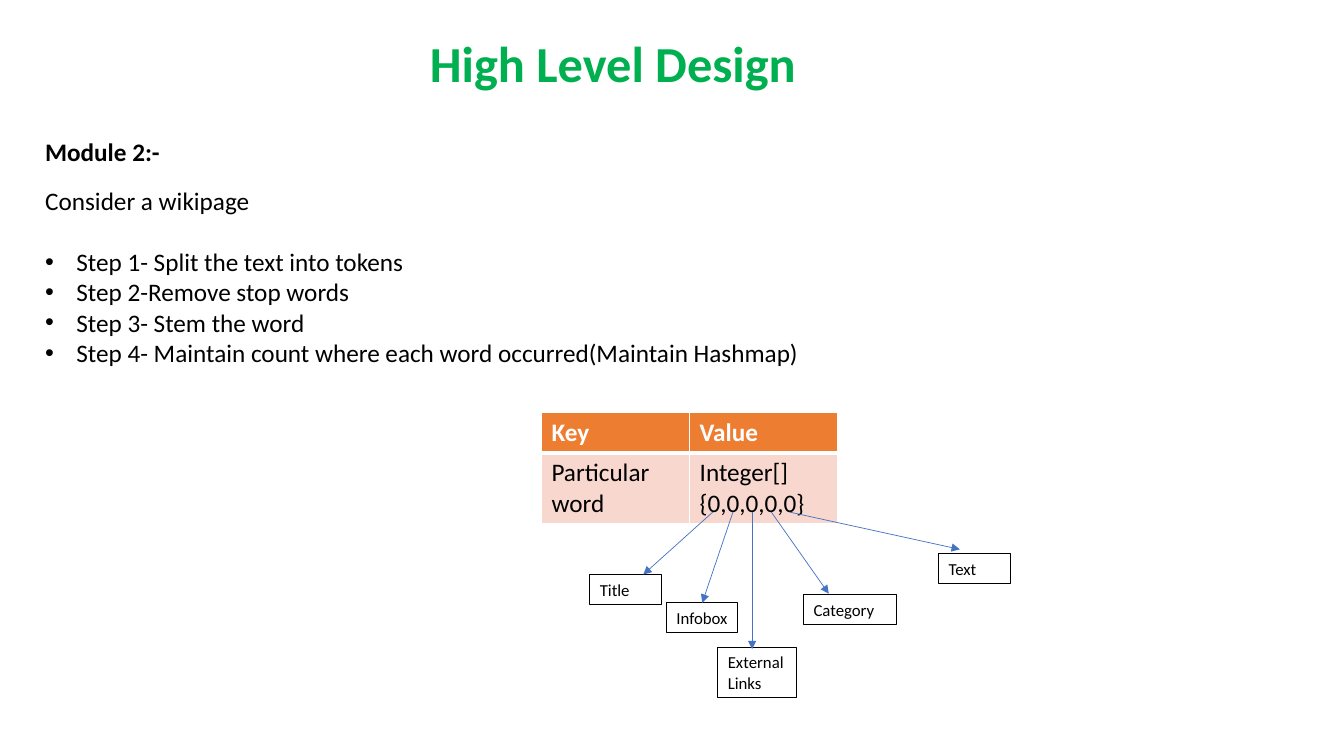
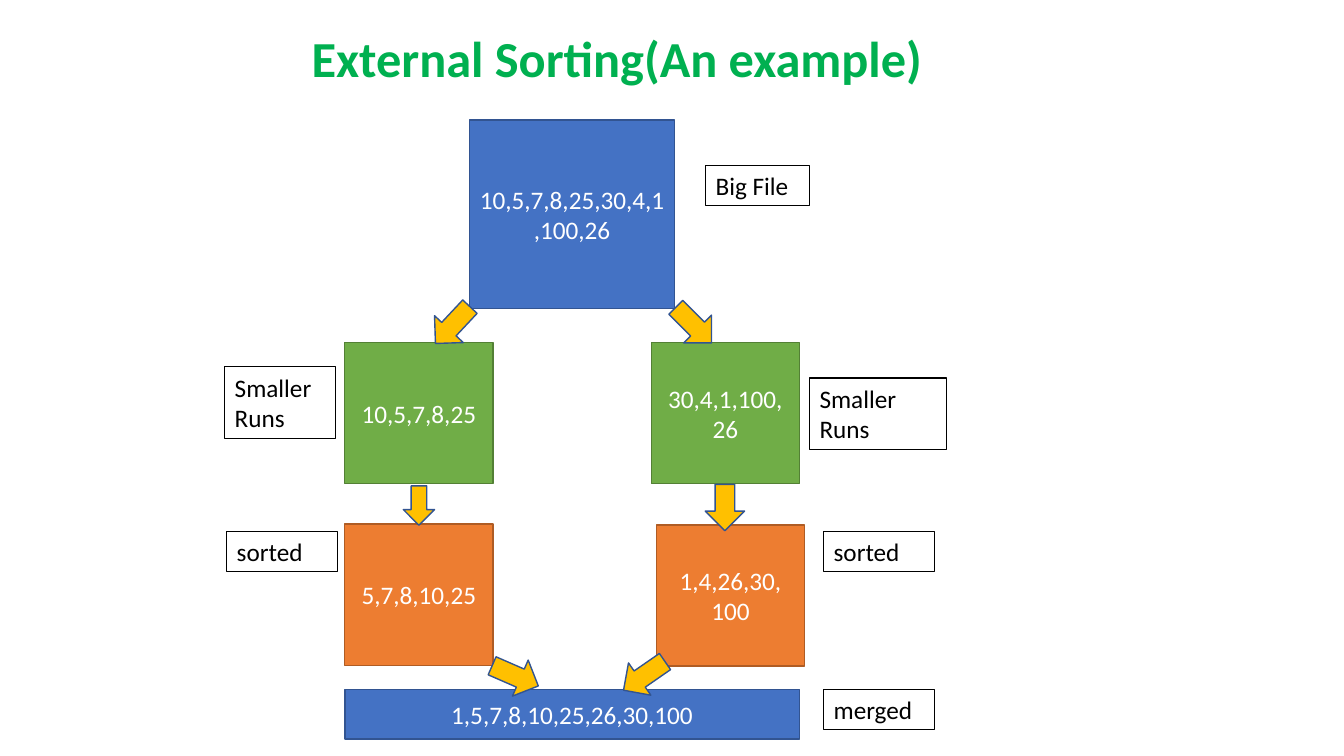
from lxml.etree import SubElement
from pptx import Presentation
from pptx.dml.color import RGBColor
from pptx.enum.shapes import MSO_CONNECTOR, MSO_SHAPE
from pptx.enum.text import MSO_ANCHOR, PP_ALIGN
from pptx.oxml.ns import qn
from pptx.util import Inches, Pt

FONT = "Calibri"
BLACK, WHITE, GREEN_TITLE = "000000", "FFFFFF", "00B050"
BLUE, GREEN, ORANGE, GOLD, PALE = "4472C4", "70AD47", "ED7D31", "FFC000", "F8D7CE"
EDGES = {BLUE: "325491", GREEN: "538035", ORANGE: "AF5C24", GOLD: "325491"}


def write(frame, lines, size=18, color=BLACK, bold=False, align=PP_ALIGN.LEFT):
    frame.word_wrap = True
    for index, line in enumerate(lines):
        paragraph = frame.paragraphs[0] if index == 0 else frame.add_paragraph()
        paragraph.alignment = align
        run = paragraph.add_run()
        run.text = line
        run.font.name = FONT
        run.font.size = Pt(size)
        run.font.bold = bold
        run.font.color.rgb = RGBColor.from_string(color)


def add_block(slide, kind, place, fill, edge, width, rotation=0):
    block = slide.shapes.add_shape(kind, *[Inches(value) for value in place])
    block.shadow.inherit = False
    block.rotation = rotation
    if fill:
        block.fill.solid()
        block.fill.fore_color.rgb = RGBColor.from_string(fill)
    else:
        block.fill.background()
    block.line.color.rgb = RGBColor.from_string(edge)
    block.line.width = Pt(width)
    return block


prs = Presentation()
prs.slide_width, prs.slide_height = Inches(13.33), Inches(7.5)
blank = prs.slide_layouts[6]

slides = []
for heading, left, top in [
    ("High Level Design", 0.33, 0.17),
    ("External Sorting(An example)", 0.37, 0.12),
]:
    slide = prs.slides.add_slide(blank)
    title = slide.shapes.add_textbox(Inches(left), Inches(top), Inches(11.5), Inches(0.97))
    title.text_frame.vertical_anchor = MSO_ANCHOR.MIDDLE
    write(title.text_frame, [heading], 36, GREEN_TITLE, True, PP_ALIGN.CENTER)
    title.text_frame.paragraphs[0].line_spacing = 0.9
    slides.append(slide)
design, sorting = slides

module = design.shapes.add_textbox(Inches(0.35), Inches(1.3), Inches(4.27), Inches(0.4))
write(module.text_frame, ["Module 2:-"], bold=True)

steps = design.shapes.add_textbox(Inches(0.35), Inches(1.79), Inches(10.12), Inches(1.92))
write(steps.text_frame, [
    "Consider a wikipage",
    "Step 1- Split the text into tokens",
    "Step 2-Remove stop words",
    "Step 3- Stem the word",
    "Step 4- Maintain count where each word occurred(Maintain Hashmap)",
])
steps.text_frame.paragraphs[0].space_after = Pt(22)
for step in steps.text_frame.paragraphs[1:]:
    properties = step._p.get_or_add_pPr()
    properties.set("marL", str(Inches(0.31)))
    properties.set("indent", str(-Inches(0.31)))
    SubElement(properties, qn("a:buFont"), typeface="Arial")
    SubElement(properties, qn("a:buChar"), char="•")

hashmap = design.shapes.add_table(
    2, 2, Inches(5.37), Inches(4.09), Inches(2.94), Inches(1.1)
).table
hashmap.rows[0].height, hashmap.rows[1].height = Inches(0.4), Inches(0.7)
hashmap_rows = [
    ([["Key"], ["Value"]], ORANGE, WHITE, True, {"lnB": 3}),
    ([["Particular word"], ["Integer[]", "{0,0,0,0,0}"]], PALE, BLACK, False, {"lnT": 3}),
]
for row, (texts, fill, color, bold, thick) in enumerate(hashmap_rows):
    for column, lines in enumerate(texts):
        cell = hashmap.cell(row, column)
        write(cell.text_frame, lines, color=color, bold=bold)
        properties = cell._tc.get_or_add_tcPr()
        for side in ("lnL", "lnR", "lnT", "lnB"):
            border = SubElement(properties, qn("a:" + side), w=str(Pt(thick.get(side, 1))))
            SubElement(SubElement(border, qn("a:solidFill")), qn("a:srgbClr"), val=WHITE)
        cell.fill.solid()
        cell.fill.fore_color.rgb = RGBColor.from_string(fill)

fields = [
    ("Title", (5.85, 5.7, 0.71, 0.3), 7.07, (6.38, 5.7)),
    ("Infobox", (6.61, 5.98, 0.71, 0.3), 7.27, None),
    ("External Links", (7.12, 6.42, 0.78, 0.5), 7.46, (7.46, 6.44)),
    ("Category", (7.97, 5.9, 0.92, 0.3), 7.65, (8.22, 5.89)),
    ("Text", (9.31, 5.49, 0.71, 0.3), 7.83, (9.52, 5.45)),
]
for name, place, start, end in fields:
    field = add_block(design, MSO_SHAPE.RECTANGLE, place, None, BLACK, 0.75)
    field.text_frame.vertical_anchor = MSO_ANCHOR.TOP
    write(field.text_frame, [name], 12)
    end_x, end_y = end or place[:2]
    pointer = design.shapes.add_connector(
        MSO_CONNECTOR.STRAIGHT, Inches(start), Inches(5.08), Inches(end_x), Inches(end_y)
    )
    if end is None:
        pointer.end_connect(field, 0)
    pointer.line.color.rgb = RGBColor.from_string(BLUE)
    pointer.line.width = Pt(0.5)
    SubElement(pointer.line._get_or_add_ln(), qn("a:tailEnd"), type="triangle")
    SubElement(pointer._element.spPr, qn("a:effectLst"))

runs = [
    (["10,5,7,8,25,30,4,1,100,26"], (4.66, 1.19, 2.03, 1.87), BLUE),
    (["10,5,7,8,25"], (3.42, 3.4, 1.47, 1.4), GREEN),
    (["30,4,1,100,", "26"], (6.46, 3.4, 1.47, 1.4), GREEN),
    (["5,7,8,10,25"], (3.42, 5.2, 1.47, 1.4), ORANGE),
    (["1,4,26,30,", "100"], (6.51, 5.21, 1.47, 1.4), ORANGE),
    (["1,5,7,8,10,25,26,30,100"], (3.42, 6.84, 4.51, 0.49), BLUE),
]
for numbers, place, fill in runs:
    run_box = add_block(sorting, MSO_SHAPE.RECTANGLE, place, fill, EDGES[fill], 1)
    run_box.text_frame.vertical_anchor = MSO_ANCHOR.MIDDLE
    write(run_box.text_frame, numbers, color=WHITE, align=PP_ALIGN.CENTER)

flow = [
    (MSO_SHAPE.LEFT_ARROW, (4.24, 3.03, 0.5, 0.39), 313.1),
    (MSO_SHAPE.LEFT_ARROW, (6.63, 3.03, 0.5, 0.39), 225),
    (MSO_SHAPE.DOWN_ARROW, (4, 4.82, 0.31, 0.39), 0),
    (MSO_SHAPE.LEFT_ARROW, (6.96, 4.84, 0.46, 0.39), 270),
    (MSO_SHAPE.LEFT_ARROW, (4.86, 6.51, 0.5, 0.39), 203.6),
    (MSO_SHAPE.LEFT_ARROW, (6.14, 6.51, 0.5, 0.39), 325.3),
]
for kind, place, rotation in flow:
    add_block(sorting, kind, place, GOLD, EDGES[GOLD], 1, rotation)

captions = [
    ("Big File", (7, 1.64, 1.03, 0.4)),
    ("Smaller Runs", (2.23, 3.64, 1.1, 0.71)),
    ("Smaller Runs", (8.03, 3.75, 1.36, 0.71)),
    ("sorted", (2.25, 5.27, 1.1, 0.4)),
    ("sorted", (8.17, 5.27, 1.1, 0.4)),
    ("merged", (8.17, 6.84, 1.1, 0.4)),
]
for text, place in captions:
    caption = add_block(sorting, MSO_SHAPE.RECTANGLE, place, None, BLACK, 0.75)
    caption.text_frame.vertical_anchor = MSO_ANCHOR.TOP
    write(caption.text_frame, [text])

prs.save("out.pptx")
